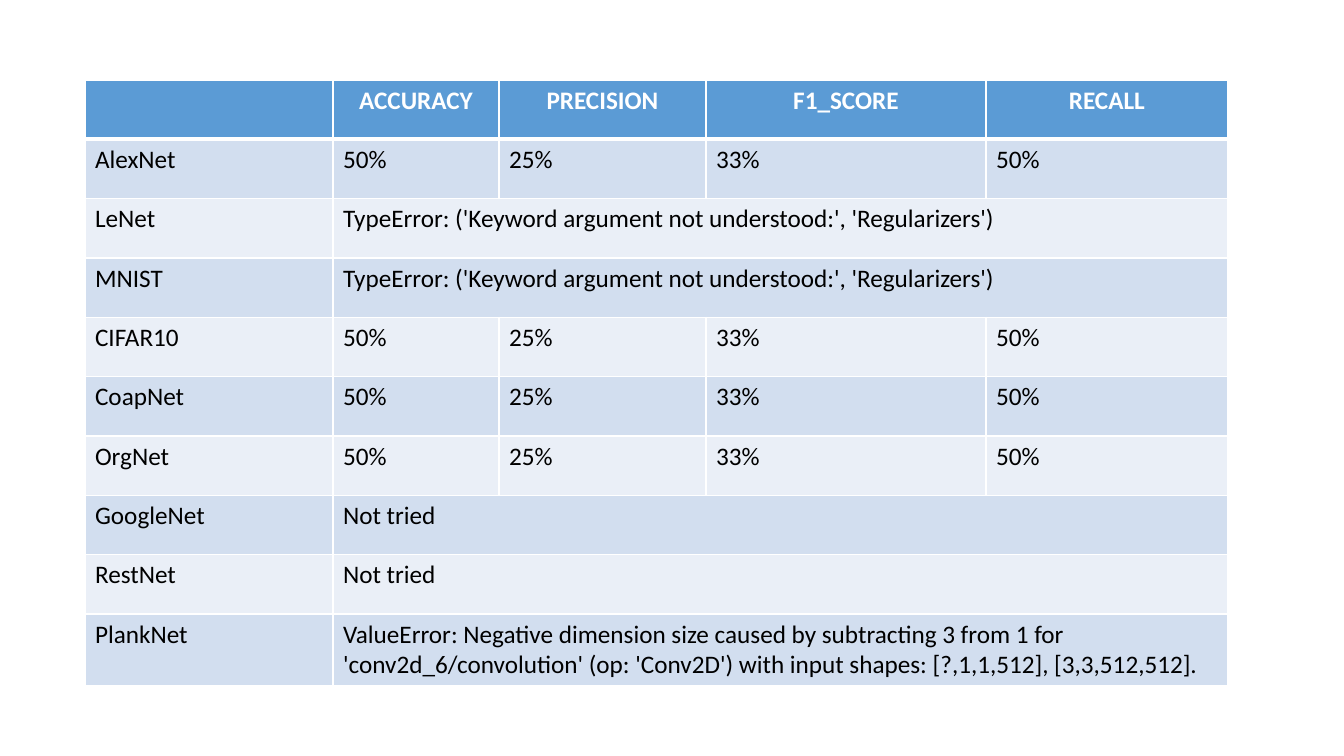
from lxml.etree import SubElement
from pptx import Presentation
from pptx.dml.color import RGBColor as RGB
from pptx.enum.text import PP_ALIGN as Align
from pptx.oxml.ns import qn
from pptx.util import Pt

SCALE = 914400 / 100.8
COLORS = {"head": "5B9BD5", "odd": "D2DEEF", "even": "EAEFF7",
          "line": "FFFFFF", "light": "FFFFFF", "dark": "000000"}
WIDTHS = [248, 166, 207, 280, 242]
SCORES = ["50%", "25%", "33%", "50%"]
ERROR = ["TypeError: ('Keyword argument not understood:', 'Regularizers')"]
SKIPPED = ["Not tried"]
ROWS = [
    ["", "ACCURACY", "PRECISION", "F1_SCORE", "RECALL"],
    ["AlexNet", *SCORES],
    ["LeNet", *ERROR],
    ["MNIST", *ERROR],
    ["CIFAR10", *SCORES],
    ["CoapNet", *SCORES],
    ["OrgNet", *SCORES],
    ["GoogleNet", *SKIPPED],
    ["RestNet", *SKIPPED],
    ["PlankNet", "ValueError: Negative dimension size caused by subtracting 3 "
     "from 1 for 'conv2d_6/convolution' (op: 'Conv2D') with input shapes: "
     "[?,1,1,512], [3,3,512,512]."],
]


def px(n):
    return round(n * SCALE)


def color(name):
    return RGB.from_string(COLORS[name])


def add_edges(cell, top, bottom):
    props = cell._tc.get_or_add_tcPr()
    for side, width in zip("LRTB", (1, 1, top, bottom)):
        line = SubElement(props, qn("a:ln" + side), w=str(Pt(width)))
        fill = SubElement(line, qn("a:solidFill"))
        SubElement(fill, qn("a:srgbClr"), val=COLORS["line"])


def style_cell(cell, row):
    head = row == 0
    add_edges(cell, 3 if row == 1 else 1, 3 if head else 1)
    cell.fill.solid()
    cell.fill.fore_color.rgb = color(
        "head" if head else "odd" if row % 2 else "even")
    para = cell.text_frame.paragraphs[0]
    para.alignment = Align.CENTER if head else Align.LEFT
    for run in para.runs:
        font = run.font
        font.name, font.size, font.bold = "Calibri", Pt(18), head
        font.color.rgb = color("light" if head else "dark")


def add_grid(slide):
    high = px(534) // 9
    table = slide.shapes.add_table(
        len(ROWS), len(WIDTHS), px(85), px(80),
        px(sum(WIDTHS)), high * len(ROWS)).table
    for col, width in zip(table.columns, WIDTHS):
        col.width = px(width)
    for i, texts in enumerate(ROWS):
        table.rows[i].height = high
        for j, text in enumerate(texts):
            table.cell(i, j).text_frame.text = text
        if len(texts) == 2:
            table.cell(i, 1).merge(table.cell(i, len(WIDTHS) - 1))
        for cell in table.rows[i].cells:
            style_cell(cell, i)


def main():
    """Build the slide that compares the scores of the networks."""
    deck = Presentation()
    deck.slide_width, deck.slide_height = px(1344), px(756)
    slide = deck.slides.add_slide(deck.slide_layouts[6])
    add_grid(slide)
    deck.save("out.pptx")


main()
